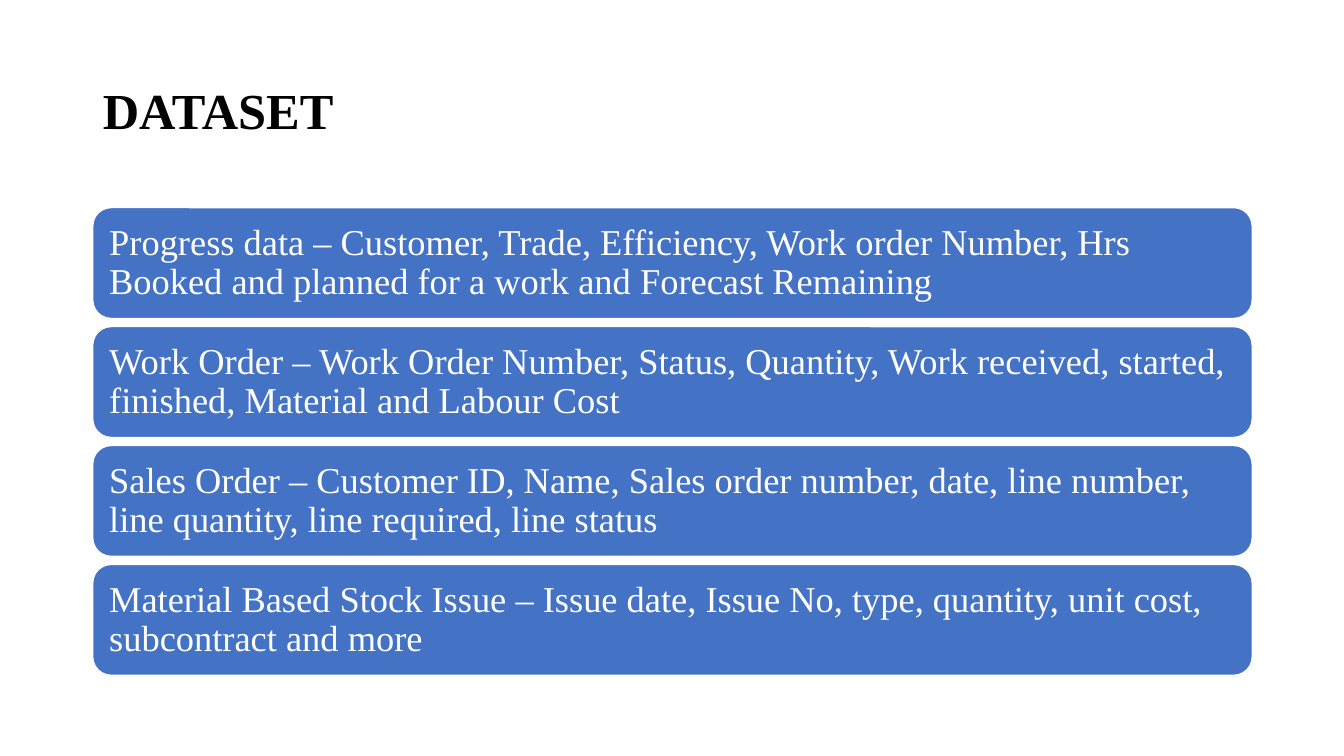
from pptx import Presentation
from pptx.dml.color import RGBColor
from pptx.enum.shapes import MSO_SHAPE
from pptx.enum.text import MSO_ANCHOR, MSO_AUTO_SIZE, PP_ALIGN
from pptx.util import Inches, Pt

COLORS = {"title": "000000", "card": "4472C4", "light": "FFFFFF"}
FONT = "Times New Roman"
DATASETS = [
    "Progress data – Customer, Trade, Efficiency, Work order Number, Hrs Booked "
    "and planned for a work and Forecast Remaining",
    "Work Order – Work Order Number, Status, Quantity, Work received, started, "
    "finished, Material and Labour Cost",
    "Sales Order – Customer ID, Name, Sales order number, date, line number, "
    "line quantity, line required, line status",
    "Material Based Stock Issue – Issue date, Issue No, type, quantity, unit cost, "
    "subcontract and more",
]


def color(name):
    return RGBColor.from_string(COLORS[name])


def write_text(frame, text, *, size, ink, bold=False, inset=None):
    frame.word_wrap = True
    frame.auto_size = MSO_AUTO_SIZE.NONE
    frame.vertical_anchor = MSO_ANCHOR.MIDDLE
    if inset is not None:
        frame.margin_left = frame.margin_right = Inches(inset)
        frame.margin_top = frame.margin_bottom = Inches(inset)
    para = frame.paragraphs[0]
    para.alignment = PP_ALIGN.LEFT
    para.line_spacing = 0.9
    span = para.add_run()
    span.text = text
    span.font.name = FONT
    span.font.size = Pt(size)
    span.font.bold = bold
    span.font.color.rgb = color(ink)


def place_title(page, text, left, top, width, height):
    title = page.shapes.title
    title.left, title.top = Inches(left), Inches(top)
    title.width, title.height = Inches(width), Inches(height)
    write_text(title.text_frame, text, size=36, ink="title", bold=True)


def add_card_list(page, texts, left, top, width, height, gap=0.08):
    """Stack one equally tall rounded card per text within the given box."""
    card_height = (height - gap * (len(texts) - 1)) / len(texts)
    for index, text in enumerate(texts):
        card_top = top + index * (card_height + gap)
        card = page.shapes.add_shape(
            MSO_SHAPE.ROUNDED_RECTANGLE,
            Inches(left), Inches(card_top), Inches(width), Inches(card_height),
        )
        card.shadow.inherit = False
        card.fill.solid()
        card.fill.fore_color.rgb = color("card")
        card.line.color.rgb = color("light")
        card.line.width = Pt(1)
        write_text(card.text_frame, text, size=26, ink="light", inset=0.11)


def main():
    deck = Presentation()
    deck.slide_width, deck.slide_height = Inches(13.33), Inches(7.5)
    page = deck.slides.add_slide(deck.slide_layouts[5])
    place_title(page, "DATASET", 0.92, 0.4, 11.5, 1.45)
    add_card_list(page, DATASETS, 0.92, 2.06, 11.5, 4.64)
    deck.save("out.pptx")


if __name__ == "__main__":
    main()
